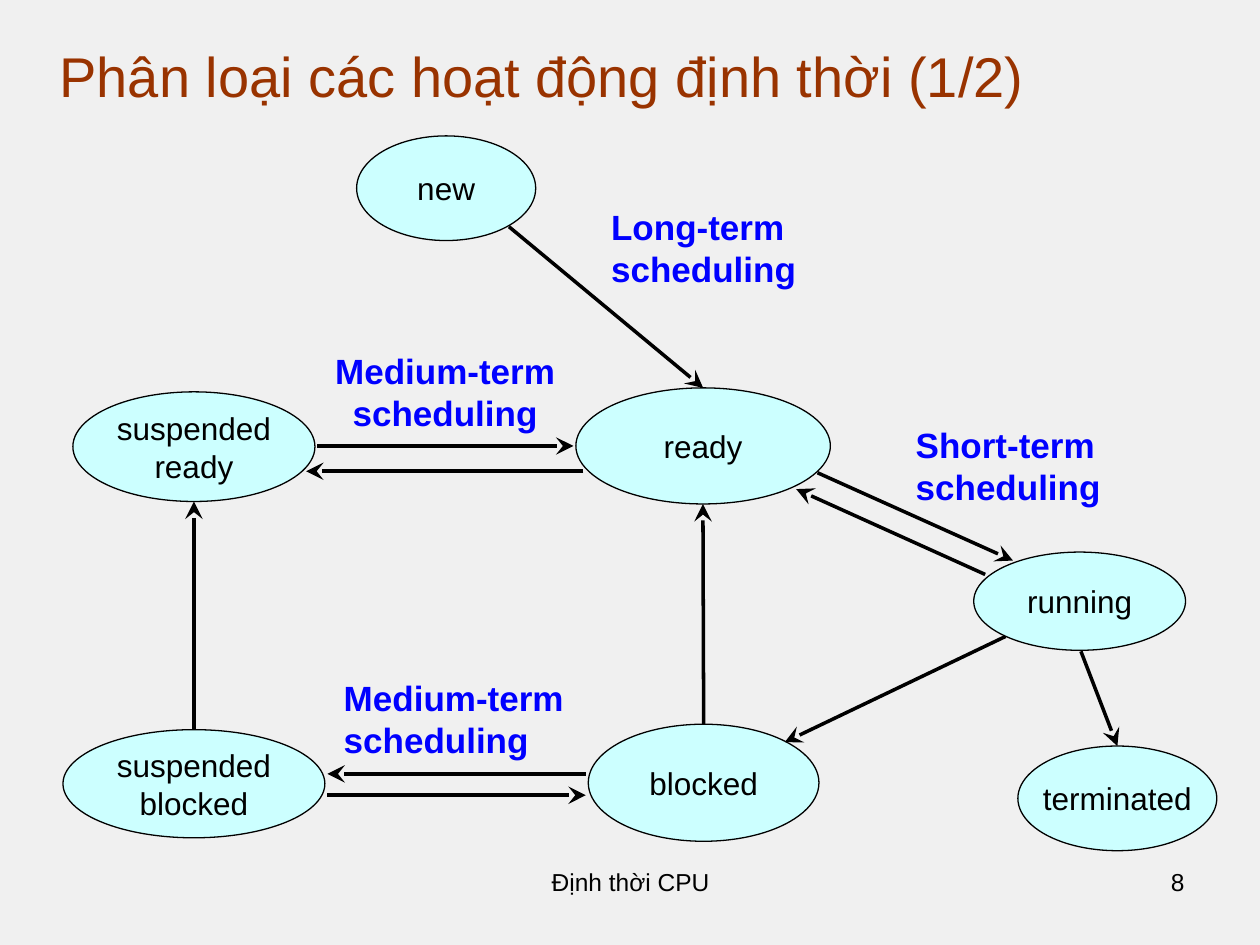
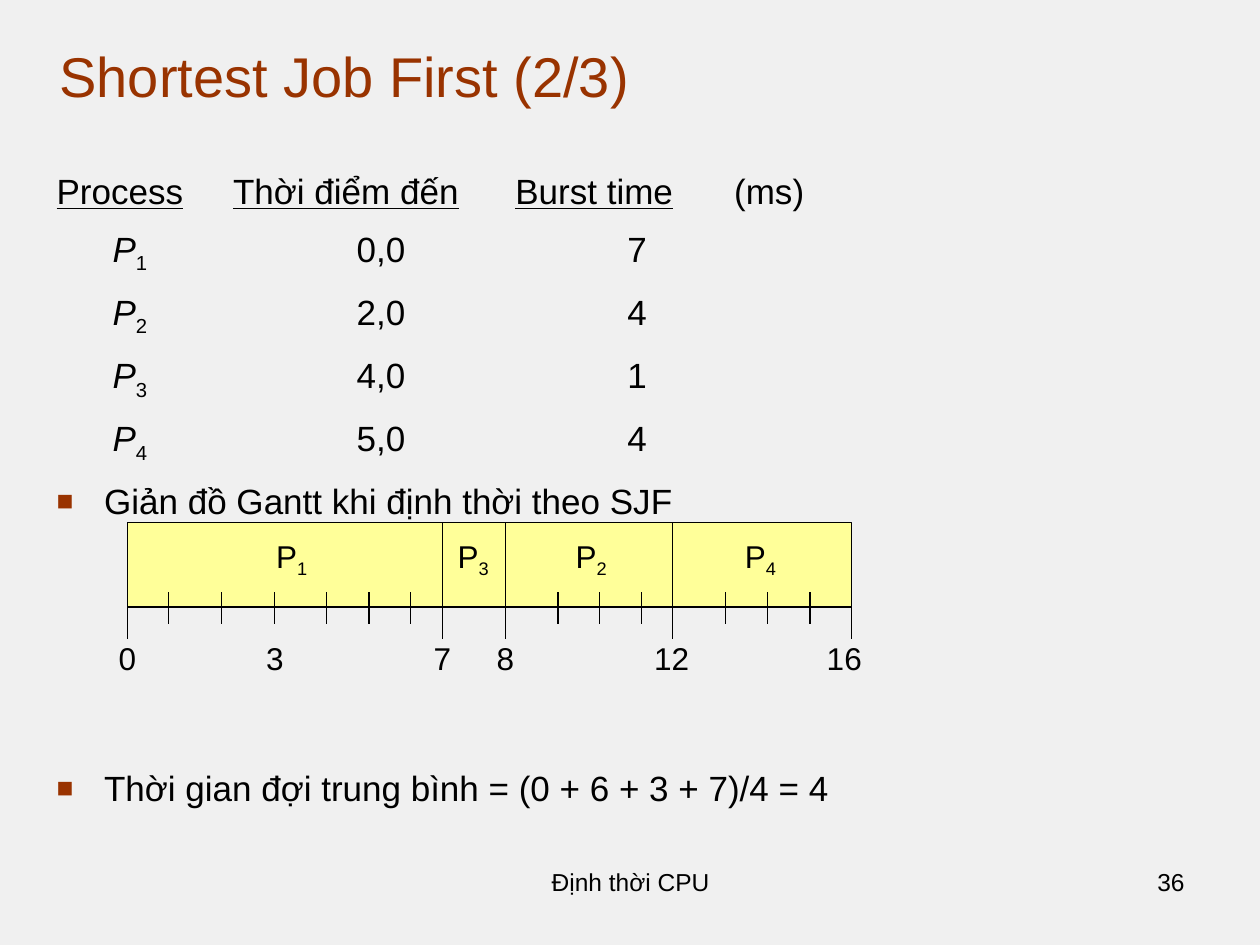
from dataclasses import dataclass

from lxml.etree import SubElement
from pptx import Presentation
from pptx.dml.color import RGBColor as Rgb
from pptx.enum.shapes import MSO_CONNECTOR as Link, MSO_SHAPE as Preset
from pptx.enum.text import MSO_ANCHOR as Anchor, PP_ALIGN as Align
from pptx.oxml.ns import qn
from pptx.util import Cm, Pt


@dataclass(frozen=True)
class Theme:
    font: str = "Arial"
    paper: Rgb = Rgb(0xF0, 0xF0, 0xF0)
    ink: Rgb = Rgb(0, 0, 0)
    accent: Rgb = Rgb(0x99, 0x33, 0)
    scheduler: Rgb = Rgb(0, 0, 0xFF)
    state: Rgb = Rgb(0xCC, 0xFF, 0xFF)
    bar: Rgb = Rgb(0xFF, 0xFF, 0x99)
    title_size: int = 32
    body_size: int = 20
    label_size: int = 18
    footer_size: int = 14
    thin: float = 0.75
    thick: float = 2


theme = Theme()


def write(shape, lines, size, color=theme.ink, align=Align.CENTER, anchor=Anchor.MIDDLE, wrap=False):
    frame = shape.text_frame
    frame.word_wrap = wrap
    frame.vertical_anchor = anchor
    for number, line in enumerate(lines):
        para = frame.add_paragraph() if number else frame.paragraphs[0]
        para.alignment = align
        for text, mark in line:
            span = para.add_run()
            span.text = text
            span.font.name = theme.font
            span.font.size = Pt(size)
            span.font.color.rgb = color
            span.font.bold = mark == "bold"
            span.font.italic = mark == "italic"
            span.font.underline = mark == "underline"
            if mark == "sub":
                span._r.get_or_add_rPr().set("baseline", "-25000")
    return frame


def draw_line(page, left, top, right, bottom, width):
    line = page.shapes.add_connector(Link.STRAIGHT, Cm(left), Cm(top), Cm(right), Cm(bottom))
    line.line.color.rgb = theme.ink
    line.line.width = Pt(width)
    SubElement(line._element.spPr, qn("a:effectLst"))
    return line


deck = Presentation()
deck.slide_width, deck.slide_height = Cm(25.4), Cm(19.05)
backdrop = deck.slide_master.background.fill
backdrop.solid()
backdrop.fore_color.rgb = theme.paper

pages = []
for heading, number in [("Phân loại các hoạt động định thời (1/2)", "8"), ("Shortest Job First (2/3)", "36")]:
    page = deck.slides.add_slide(deck.slide_layouts[5])
    title = page.shapes.title
    title.left, title.top, title.width, title.height = Cm(1), Cm(0.6), Cm(23.39), Cm(1.7)
    frame = write(title, [[(heading, "")]], theme.title_size, theme.accent, Align.LEFT, Anchor.BOTTOM, True)
    frame.margin_left, frame.margin_bottom = Cm(0.2), Cm(0.1)
    for text, left, width, align in [("Định thời CPU", 8.69, 8.05, Align.CENTER), (number, 18.21, 5.92, Align.RIGHT)]:
        box = page.shapes.add_textbox(Cm(left), Cm(17.35), Cm(width), Cm(1.32))
        write(box, [[(text, "")]], theme.footer_size, align=align, anchor=Anchor.TOP, wrap=True)
    pages.append(page)

states_page, gantt_page = pages

states = {}
for name, left, top, width, height in [
    ("ready", 11.61, 7.82, 5.13, 2.34),
    ("running", 19.63, 11.13, 4.27, 1.98),
    ("suspended ready", 1.47, 7.9, 4.88, 2.21),
    ("suspended blocked", 1.27, 14.71, 5.28, 2.18),
    ("new", 7.19, 2.74, 3.61, 2.11),
    ("terminated", 20.52, 15.04, 4.01, 2.11),
    ("blocked", 11.86, 14.6, 4.65, 2.36),
]:
    oval = states_page.shapes.add_shape(Preset.OVAL, Cm(left), Cm(top), Cm(width), Cm(height))
    oval.shadow.inherit = False
    oval.fill.solid()
    oval.fill.fore_color.rgb = theme.state
    oval.line.color.rgb = theme.ink
    oval.line.width = Pt(theme.thin)
    write(oval, [[(word, "")] for word in name.split()], theme.label_size)
    states[name] = oval

for term, left, top, width, align in [
    ("Long-term", 12.07, 4.01, 4.24, Align.LEFT),
    ("Medium-term", 6.5, 6.93, 4.95, Align.CENTER),
    ("Medium-term", 6.68, 13.51, 4.95, Align.LEFT),
    ("Short-term", 18.21, 8.41, 4.24, Align.LEFT),
]:
    box = states_page.shapes.add_textbox(Cm(left), Cm(top), Cm(width), Cm(1.96))
    lines = [[(term, "bold")], [("scheduling", "bold")]]
    write(box, lines, theme.body_size, theme.scheduler, align, Anchor.TOP)

for left, top, right, bottom, leaves_top_of, enters_top_of in [
    (10.26, 4.57, 14.17, 7.82, None, "ready"),
    (21.79, 13.13, 22.56, 15.04, None, "terminated"),
    (3.91, 14.71, 3.91, 10.11, "suspended blocked", None),
    (14.17, 14.6, 14.17, 10.16, "blocked", None),
    (20.27, 12.83, 15.82, 14.96, None, None),
    (11.76, 9.5, 6.17, 9.5, None, None),
    (16.48, 9.53, 20.42, 11.3, None, None),
    (19.86, 11.58, 16.05, 9.86, None, None),
    (11.81, 15.6, 6.6, 15.6, None, None),
    (6.6, 16.03, 11.81, 16.03, None, None),
    (6.4, 8.99, 11.56, 8.99, None, None),
]:
    arrow = draw_line(states_page, left, top, right, bottom, theme.thick)
    SubElement(arrow.line._get_or_add_ln(), qn("a:tailEnd"), type="stealth", w="lg", len="lg")
    if leaves_top_of:
        arrow.begin_connect(states[leaves_top_of], 0)
    if enters_top_of:
        arrow.end_connect(states[enters_top_of], 0)

jobs = [("1", "0,0", "7"), ("2", "2,0", "4"), ("3", "4,0", "1"), ("4", "5,0", "4")]
lines = [[
    ("Process", "underline"), ("\t", ""), ("Thời điểm đến", "underline"), ("\t", ""),
    ("Burst time", "underline"), ("\t(ms)", ""),
]]
for job, arrival, burst in jobs:
    lines.append([("\t", ""), ("P", "italic"), (job, "sub"), (f"\t{arrival}\t{burst}", "")])
lines.append([("Giản đồ Gantt khi định thời theo SJF", "")])
lines.append([("Thời gian đợi trung bình = (0 + 6 + 3 + 7)/4 = 4", "")])

body = gantt_page.shapes.add_textbox(Cm(0.94), Cm(3.22), Cm(23.44), Cm(13.84))
frame = write(body, lines, theme.body_size, align=Align.LEFT, anchor=Anchor.TOP, wrap=True)
frame.margin_left = frame.margin_top = Cm(0.2)
header, *rows = frame.paragraphs
bullets = rows[len(jobs):]
for para in rows:
    para.space_before = Pt(8.8)
bullets[-1].space_before = Pt(140)

for para in [header, *rows[:len(jobs)]]:
    stops = [3.56, 9.25, 13.66] if para is header else [1.13, 6.05, 11.51]
    tabs = SubElement(para._p.get_or_add_pPr(), qn("a:tabLst"))
    for stop in stops:
        SubElement(tabs, qn("a:tab"), pos=str(Cm(stop)), algn="l")

for para in bullets:
    props = para._p.get_or_add_pPr()
    props.set("marL", str(Cm(0.96)))
    props.set("indent", str(-Cm(0.96)))
    SubElement(SubElement(props, qn("a:buClr")), qn("a:srgbClr"), val=str(theme.accent))
    SubElement(props, qn("a:buSzPct"), val="80000")
    SubElement(props, qn("a:buFont"), typeface=theme.font)
    SubElement(props, qn("a:buChar"), char="■")

moments = [2.57, 3.4, 4.47, 5.54, 6.58, 7.44, 8.28, 8.92, 10.19,
           11.25, 12.09, 12.93, 13.56, 14.63, 15.47, 16.33, 17.17]
switches = [0, 7, 8, 12, 16]
bar_top, bar_height = 10.54, 1.7
bar = gantt_page.shapes.add_shape(
    Preset.RECTANGLE, Cm(moments[0]), Cm(bar_top), Cm(moments[-1] - moments[0]), Cm(bar_height))
bar.shadow.inherit = False
bar.fill.solid()
bar.fill.fore_color.rgb = theme.bar
bar.line.color.rgb = theme.ink
bar.line.width = Pt(theme.thin)

for moment, x in enumerate(moments):
    top, bottom = (bar_top, 12.88) if moment in switches else (11.94, 12.57)
    draw_line(gantt_page, x, top, x, bottom, theme.thin)

captions = [([("P", ""), (job, "sub")], centre, 10.69, 1.12)
            for job, centre in [("1", 5.88), ("3", 9.54), ("2", 11.92), ("4", 15.33)]]
captions += [([(moment, "")], centre, 12.75, 1.02)
             for moment, centre in [("0", 2.57), ("3", 5.54), ("7", 8.92), ("8", 10.19), ("12", 13.54), ("16", 17.02)]]
for line, centre, top, height in captions:
    width = 1.6
    box = gantt_page.shapes.add_textbox(Cm(centre - width / 2), Cm(top), Cm(width), Cm(height))
    write(box, [line], theme.label_size)

deck.save("out.pptx")
